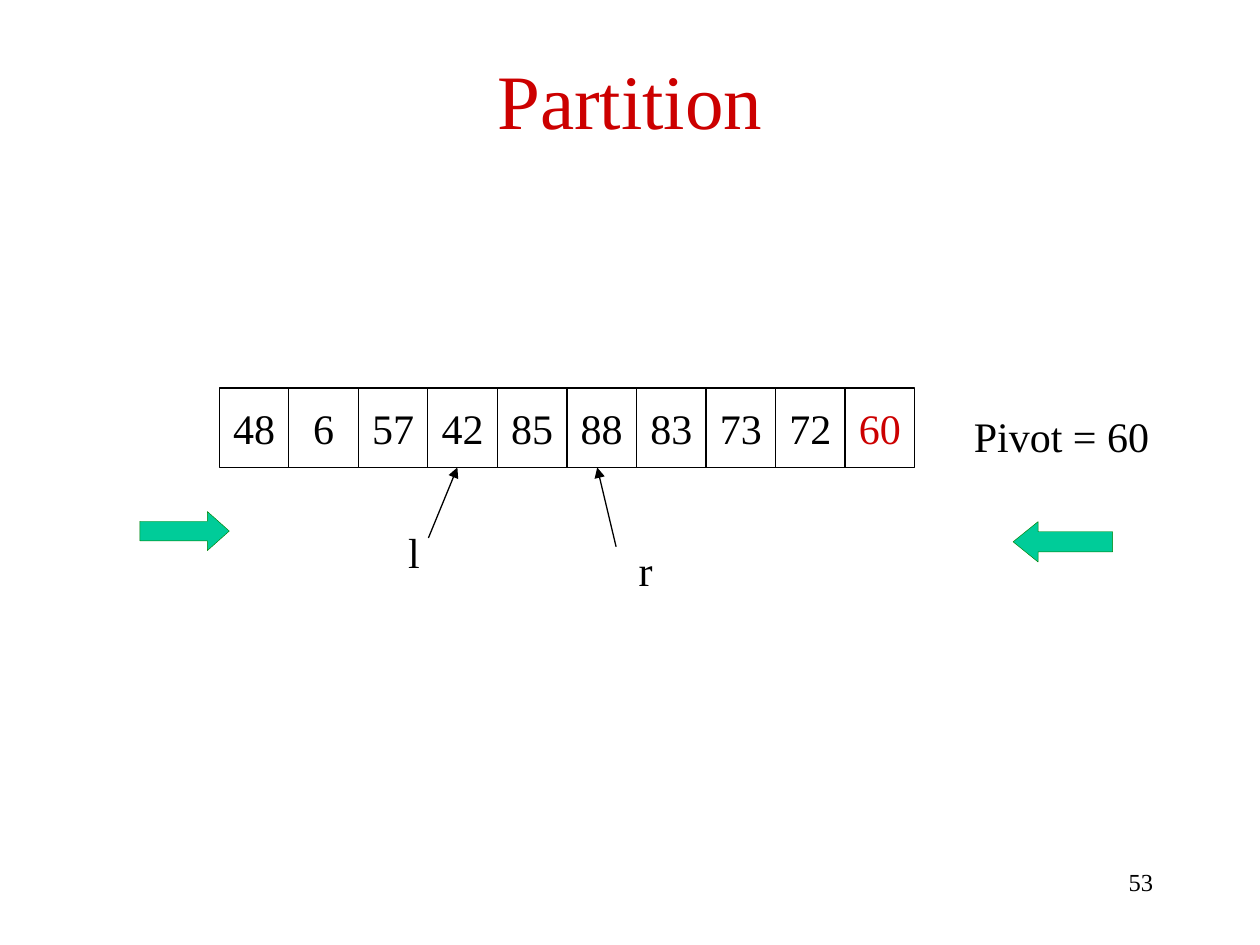
import pptx
import pptx.dml.color
import pptx.enum.shapes
import pptx.enum.text
import pptx.oxml
import pptx.oxml.ns
import pptx.util
from pptx.util import Inches

RGBColor = pptx.dml.color.RGBColor
Align = pptx.enum.text.PP_ALIGN
Shape = pptx.enum.shapes.MSO_SHAPE

BLACK = RGBColor(0x00, 0x00, 0x00)
WHITE = RGBColor(0xFF, 0xFF, 0xFF)
RED = RGBColor(0xCC, 0x00, 0x00)
TEAL = RGBColor(0x00, 0xCC, 0x99)
GREEN = RGBColor(0x00, 0x80, 0x00)

VALUES = [48, 6, 57, 42, 85, 88, 83, 73, 72, 60]
PIVOT = 60
ARRAY_LEFT, ARRAY_RIGHT = Inches(1.74), Inches(7.26)
ARRAY_TOP, ARRAY_HEIGHT = Inches(3.08), Inches(0.63)


class SlideBuilder:
    """Holds the text style and the current slide."""

    font_name = "Times New Roman"
    body_size = 24

    def __init__(self, slide):
        self.slide = slide

    def set_text(self, shape, text, size=body_size, color=BLACK, align=Align.LEFT):
        shape.text_frame.text = text
        paragraph = shape.text_frame.paragraphs[0]
        paragraph.alignment = align
        font = paragraph.runs[0].font
        font.name = self.font_name
        font.size = pptx.util.Pt(size)
        font.color.rgb = color

    def title(self, text, left, top, width, height):
        title = self.slide.shapes.title
        title.left, title.top, title.width, title.height = left, top, width, height
        title.text_frame.vertical_anchor = pptx.enum.text.MSO_ANCHOR.MIDDLE
        self.set_text(title, text, 44, RED, Align.CENTER)

    def shape(self, kind, left, top, width, height, fill, line, line_width):
        shape = self.slide.shapes.add_shape(kind, left, top, width, height)
        shape.shadow.inherit = False
        shape.fill.solid()
        shape.fill.fore_color.rgb = fill
        shape.line.color.rgb = line
        shape.line.width = pptx.util.Pt(line_width)
        return shape

    def cell(self, text, left, top, width, height, color):
        cell = self.shape(Shape.RECTANGLE, left, top, width, height, WHITE, BLACK, 0.75)
        cell.text_frame.word_wrap = False
        cell.text_frame.vertical_anchor = pptx.enum.text.MSO_ANCHOR.MIDDLE
        self.set_text(cell, text, color=color, align=Align.CENTER)

    def block_arrow(self, kind, left, top, width, height, head):
        arrow = self.shape(kind, left, top, width, height, TEAL, GREEN, 0.25)
        arrow.adjustments[1] = head

    def label(self, text, left, top, width, height):
        box = self.slide.shapes.add_textbox(left, top, width, height)
        box.text_frame.word_wrap = False
        box.text_frame.auto_size = pptx.enum.text.MSO_AUTO_SIZE.SHAPE_TO_FIT_TEXT
        self.set_text(box, text)

    def page_number(self, text, left, top, width, height):
        box = self.slide.shapes.add_textbox(left, top, width, height)
        box.text_frame.word_wrap = True
        self.set_text(box, text, size=14, align=Align.RIGHT)

    def pointer(self, start_x, start_y, end_x, end_y):
        connector = self.slide.shapes.add_connector(
            pptx.enum.shapes.MSO_CONNECTOR.STRAIGHT, start_x, start_y, end_x, end_y)
        connector.line.color.rgb = BLACK
        connector.line.width = pptx.util.Pt(0.75)
        # Arrowhead at the end, no shadow
        line = connector.line._get_or_add_ln()
        tail = pptx.oxml.ns.qn("a:tailEnd")
        line.append(line.makeelement(tail, {"type": "triangle"}))
        effects = pptx.oxml.ns.qn("a:effectLst")
        properties = connector._element.spPr
        properties.append(properties.makeelement(effects, {}))


def main():
    presentation = pptx.Presentation()
    presentation.slide_width = Inches(10)
    presentation.slide_height = Inches(7.5)
    title_only = presentation.slide_layouts[5]
    builder = SlideBuilder(presentation.slides.add_slide(title_only))

    # Title and page number
    builder.title("Partition", Inches(0.5), Inches(0.28), Inches(9), Inches(1))
    builder.page_number("53", Inches(7.17), Inches(6.83), Inches(2.08), Inches(0.5))

    # Array cells, with the pivot in red
    cell_width = (ARRAY_RIGHT - ARRAY_LEFT) // len(VALUES)
    for index, value in enumerate(VALUES):
        builder.cell(str(value), ARRAY_LEFT + index * cell_width, ARRAY_TOP,
                     cell_width, ARRAY_HEIGHT, RED if value == PIVOT else BLACK)

    # Left and right pointers with their labels
    array_bottom = ARRAY_TOP + ARRAY_HEIGHT
    builder.pointer(Inches(3.4), Inches(4.27), Inches(3.63), array_bottom)
    builder.label("l", Inches(3.14), Inches(4.13), Inches(0.29), Inches(0.5))
    builder.pointer(Inches(4.89), Inches(4.34), Inches(4.74), array_bottom)
    builder.label("r", Inches(4.97), Inches(4.27), Inches(0.31), Inches(0.5))
    builder.label(f"Pivot = {PIVOT}", Inches(7.63), Inches(3.21), Inches(1.59), Inches(0.5))

    # Scan directions
    builder.block_arrow(Shape.RIGHT_ARROW, Inches(1.11), Inches(4.06),
                        Inches(0.71), Inches(0.31), 0.56)
    builder.block_arrow(Shape.LEFT_ARROW, Inches(8.04), Inches(4.14),
                        Inches(0.79), Inches(0.32), 0.62)

    presentation.save("out.pptx")


if __name__ == "__main__":
    main()
